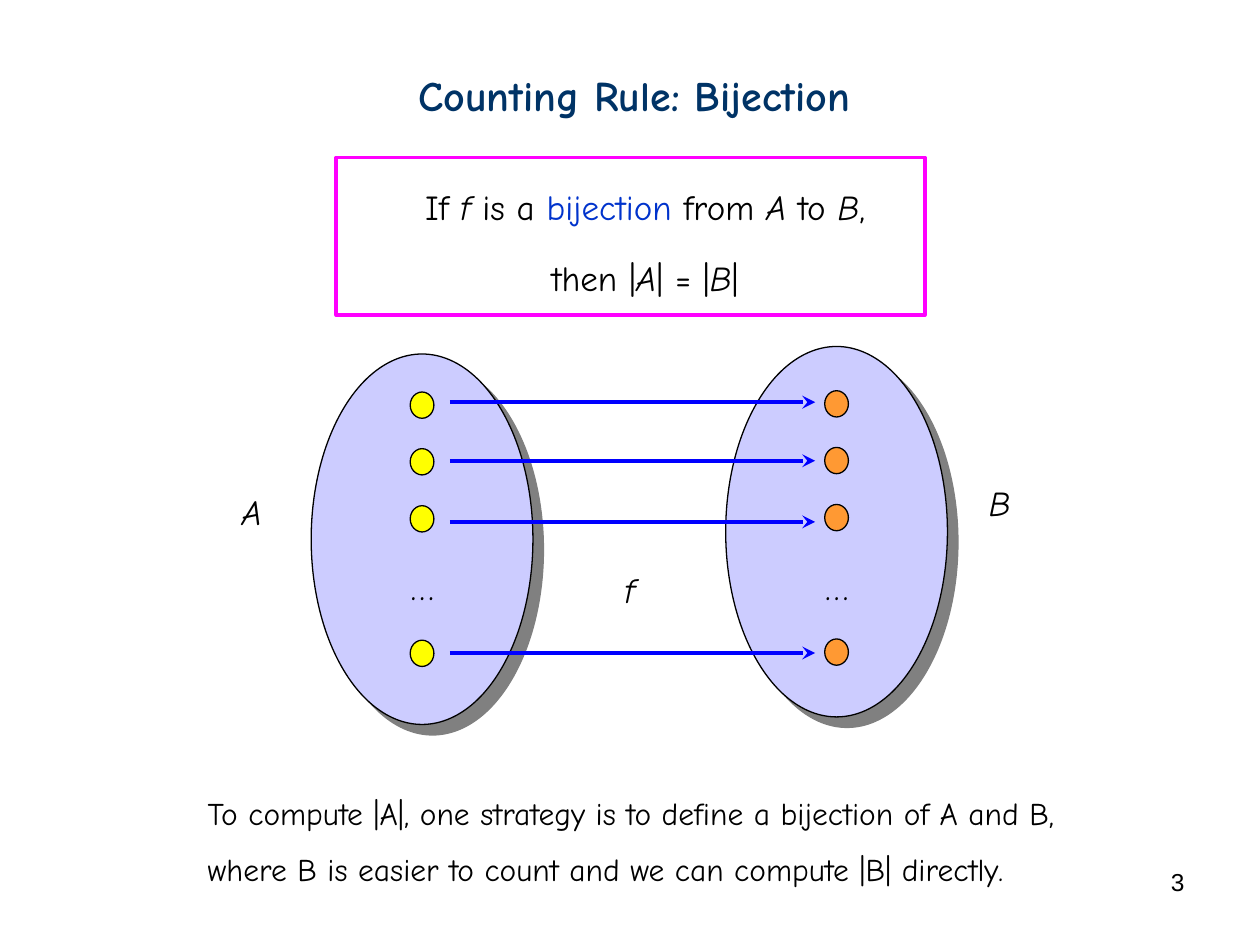
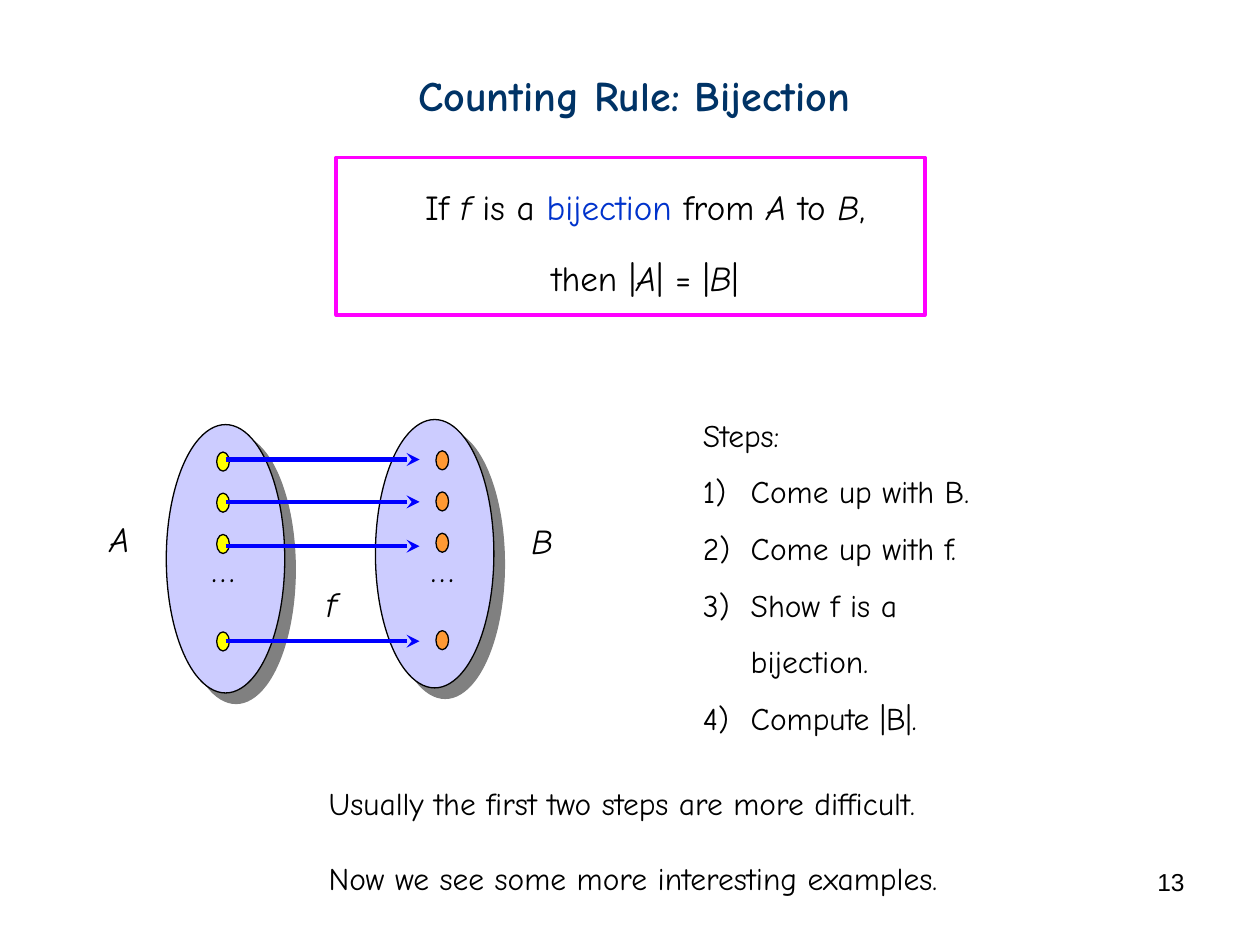
from lxml import etree
from pptx import Presentation
from pptx.dml.color import RGBColor
from pptx.enum.shapes import MSO_CONNECTOR, MSO_SHAPE
from pptx.enum.text import MSO_AUTO_SIZE, PP_ALIGN
from pptx.oxml.ns import qn
from pptx.util import Emu, Inches, Pt

RECTANGLE, OVAL = MSO_SHAPE.RECTANGLE, MSO_SHAPE.OVAL
STRAIGHT = MSO_CONNECTOR.STRAIGHT
FIT = MSO_AUTO_SIZE.SHAPE_TO_FIT_TEXT
LEFT, CENTER, RIGHT = PP_ALIGN.LEFT, PP_ALIGN.CENTER, PP_ALIGN.RIGHT

COLORS = {
    "text": "000000", "title": "003366", "term": "0033CC", "frame": "FF00FF",
    "set": "CCCCFF", "shadow": "808080", "A": "FFFF00", "B": "FF9933",
    "arrow": "0000FF",
}
BODY_FONT, NUMBER_FONT = "Comic Neue", "Arial"

TITLE = "Counting Rule: Bijection"
RULE = [
    [("If ", ""), ("f", "italic"), (" is a ", ""), ("bijection", "term"),
     (" from ", ""), ("A", "italic"), (" to ", ""), ("B", "italic"), (",", "")],
    [("then |", ""), ("A", "italic"), ("| = |", ""), ("B", "italic"), ("|", "")],
]

DOT_ROWS = (0.138, 0.291, 0.445, 0.808)
ARROW_ROWS = (0.13, 0.288, 0.453, 0.807)
DOT_WIDTH, DOT_HEIGHT = 0.107, 0.071

SLIDES = [
    {
        "number": "3",
        "diagram": {
            "set_size": (1.76, 2.94),
            "sets": {"A": (2.47, 2.81), "B": (5.76, 2.75)},
            "dots": {"A": (3.35, 2.81), "B": (6.64, 2.8)},
            "arrow_span": (3.57, 6.47),
            "labels": {"A": (1.82, 3.84), "B": (7.75, 3.77), "f": (4.86, 4.46)},
            "ellipsis_top": 4.44,
        },
        "notes": [
            {"box": (1.55, 6.25, 6.97, 0.85), "spacing": 1.5,
             "lines": ["To compute |A|, one strategy is to define a bijection of A and B,",
                       "where B is easier to count and we can compute |B| directly."]},
        ],
    },
    {
        "number": "13",
        "diagram": {
            "set_size": (0.94, 2.13),
            "sets": {"A": (1.32, 3.37), "B": (2.98, 3.33)},
            "dots": {"A": (1.77, 3.37), "B": (3.51, 3.36)},
            "arrow_span": (1.79, 3.33),
            "labels": {"A": (0.77, 4.06), "B": (4.12, 4.07), "f": (2.49, 4.57)},
            "ellipsis_top": 4.3,
        },
        "notes": [
            {"box": (5.48, 3.25, 2.75, 2.2), "spacing": 1.5, "numbered": True,
             "lines": ["Steps:", "Come up with B.", "Come up with f.",
                       "Show f is a bijection.", "Compute |B|."]},
            {"box": (2.51, 6.17, 5.06, 1), "gap": 21.7,
             "lines": ["Usually the first two steps are more difficult.",
                       "Now we see some more interesting examples."]},
        ],
    },
]


def rgb(name):
    return RGBColor.from_string(COLORS[name])


def style(font, size, color="text", face=BODY_FONT, bold=False, italic=False):
    font.size, font.name, font.bold, font.italic = Pt(size), face, bold, italic
    font.color.rgb = rgb(color)


def add_text(slide, box, lines, size, align=LEFT, wrap=False, fit=True, **look):
    frame = slide.shapes.add_textbox(*map(Inches, box)).text_frame
    frame.text = "\n".join(lines)
    frame.word_wrap = wrap
    if fit:
        frame.auto_size = FIT
    for paragraph in frame.paragraphs:
        paragraph.alignment = align
        for run in paragraph.runs:
            style(run.font, size, **look)
    return frame


def add_outline(slide, kind, box, fill, line, width):
    shape = slide.shapes.add_shape(kind, *map(Inches, box))
    shape.shadow.inherit = False
    if fill:
        shape.fill.solid()
        shape.fill.fore_color.rgb = rgb(fill)
    else:
        shape.fill.background()
    shape.line.color.rgb = rgb(line)
    shape.line.width = Pt(width)
    return shape


def add_set(slide, box):
    oval = add_outline(slide, OVAL, box, "set", "text", 0.75)
    effects = oval._element.spPr.find(qn("a:effectLst"))
    shadow = etree.SubElement(effects, qn("a:outerShdw"), blurRad="0",
                              dist=str(Pt(8.5)), dir="2700000", algn="ctr", rotWithShape="0")
    etree.SubElement(shadow, qn("a:srgbClr"), val=COLORS["shadow"])


def add_arrow(slide, start, end, y):
    arrow = slide.shapes.add_connector(STRAIGHT, Inches(start), Inches(y), Inches(end), Inches(y))
    arrow.line.color.rgb = rgb("arrow")
    arrow.line.width = Pt(2.5)
    etree.SubElement(arrow.line._get_or_add_ln(), qn("a:tailEnd"), type="stealth")
    etree.SubElement(arrow._element.spPr, qn("a:effectLst"))


def add_rule(slide):
    add_outline(slide, RECTANGLE, (2.67, 1.25, 4.67, 1.25), None, "frame", 2.25)
    frame = add_text(slide, (0.58, 1.42, 9.08, 1.01), [""] * len(RULE), 20, CENTER, wrap=True)
    for paragraph, pieces in zip(frame.paragraphs, RULE):
        for words, role in pieces:
            run = paragraph.add_run()
            run.text = words
            style(run.font, 20, "term" if role == "term" else "text", italic=role == "italic")
    conclusion = frame.paragraphs[1]
    conclusion.line_spacing, conclusion.space_before = 1.5, Pt(5)


def add_diagram(slide, diagram):
    width, height = diagram["set_size"]
    dot_width, dot_height = DOT_WIDTH * width, DOT_HEIGHT * height
    for corner in diagram["sets"].values():
        add_set(slide, (*corner, width, height))
    for name, (center, top) in diagram["dots"].items():
        for row in DOT_ROWS:
            box = (center - dot_width / 2, top + row * height - dot_height / 2,
                   dot_width, dot_height)
            add_outline(slide, OVAL, box, name, "text", 0.75)
        add_text(slide, (center - 0.19, diagram["ellipsis_top"], 0.38, 0.44), ["…"], 20, CENTER)
    for row in ARROW_ROWS:
        add_arrow(slide, *diagram["arrow_span"], diagram["sets"]["A"][1] + row * height)
    for name, corner in diagram["labels"].items():
        label_width = 0.28 if name == "f" else 0.36
        add_text(slide, (*corner, label_width, 0.44), [name], 20, italic=True)


def add_note(slide, note):
    frame = add_text(slide, note["box"], note["lines"], 18)
    for paragraph in frame.paragraphs[1:]:
        if note.get("numbered"):
            properties = paragraph._p.get_or_add_pPr()
            properties.set("marL", str(Inches(0.38)))
            properties.set("indent", str(Inches(-0.38)))
            etree.SubElement(properties, qn("a:buAutoNum"), type="arabicParenR")
        paragraph.line_spacing = note.get("spacing", 1.0)
        paragraph.space_before = Pt(note.get("gap", 0))


def main():
    """Build the two bijection slides."""
    deck = Presentation()
    deck.slide_width, deck.slide_height = Emu(Inches(10)), Emu(Inches(7.5))
    for content in SLIDES:
        slide = deck.slides.add_slide(deck.slide_layouts[6])
        add_text(slide, (7.17, 6.83, 2.33, 0.52), [content["number"]], 14, RIGHT,
                 wrap=True, fit=False, face=NUMBER_FONT)
        add_text(slide, (3.22, 0.5, 3.63, 0.5), [TITLE], 24, color="title", bold=True)
        add_rule(slide)
        add_diagram(slide, content["diagram"])
        for note in content["notes"]:
            add_note(slide, note)
    deck.save("out.pptx")


if __name__ == "__main__":
    main()
